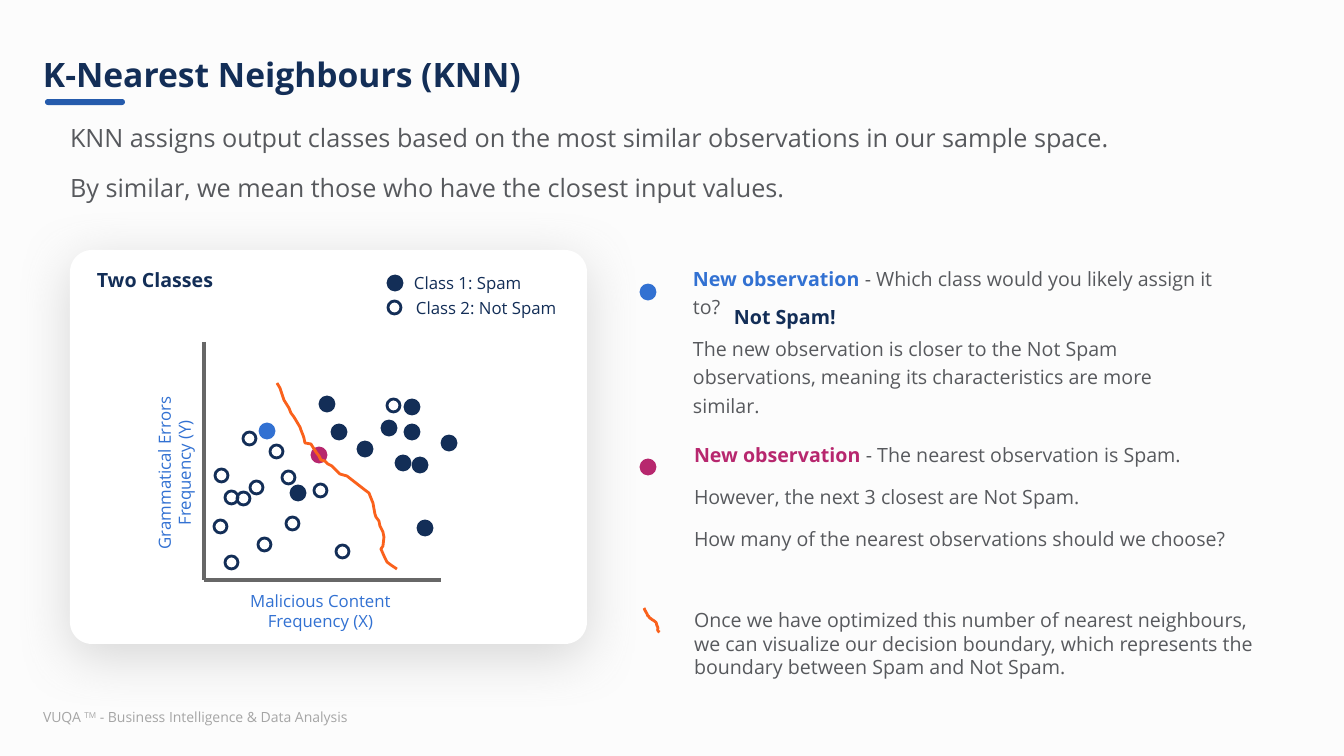
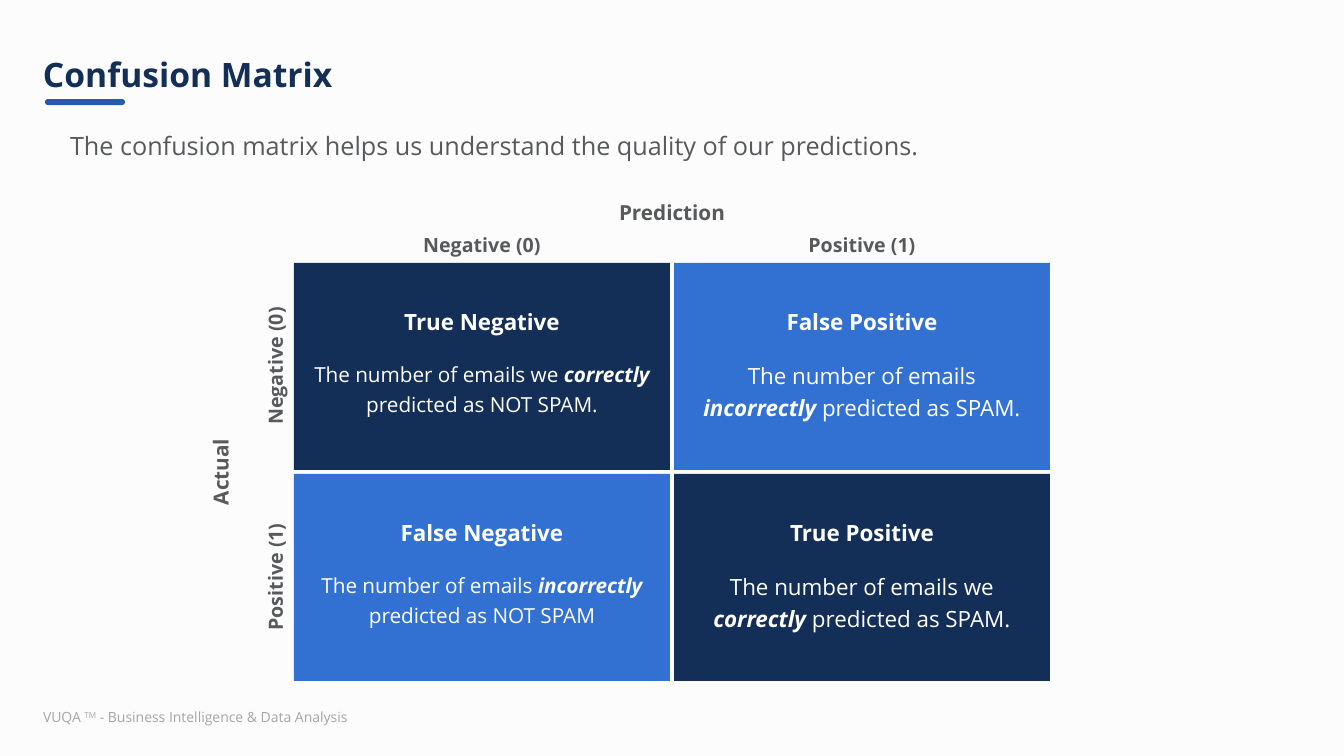
from lxml.etree import SubElement
from pptx import Presentation
from pptx.dml.color import RGBColor
from pptx.enum.shapes import MSO_CONNECTOR, MSO_SHAPE
from pptx.enum.text import MSO_ANCHOR, PP_ALIGN
from pptx.oxml.ns import qn
from pptx.util import Pt

PX = 914400 / 100.8
FONT = "Open Sans"

NAVY = RGBColor(0x13, 0x2E, 0x57)
BLUE = RGBColor(0x32, 0x71, 0xD2)
ACCENT = RGBColor(0x25, 0x5B, 0xAC)
MAGENTA = RGBColor(0xB7, 0x27, 0x6E)
ORANGE = RGBColor(0xFA, 0x61, 0x1C)
TEXT_GREY = RGBColor(0x57, 0x59, 0x5D)
AXIS_GREY = RGBColor(0x67, 0x67, 0x67)
FOOTER_GREY = RGBColor(0xA5, 0xA5, 0xA5)
PAPER = RGBColor(0xFC, 0xFC, 0xFC)
WHITE = RGBColor(0xFF, 0xFF, 0xFF)

DEFAULT_INSET = (10, 5, 10, 5)
NO_INSET = (0, 0, 0, 0)
INDENTED = (25, 0, 0, 0)
LEFT, CENTER = PP_ALIGN.LEFT, PP_ALIGN.CENTER

SPAM_DOTS = [
    (418, 521), (405, 425), (396, 456), (442, 436), (413, 458), (332, 425),
    (405, 400), (382, 421), (358, 442), (320, 397), (291, 486),
]
NOT_SPAM_DOTS = [
    (258, 538), (215, 469), (237, 492), (314, 484), (286, 517), (243, 432), (214, 520),
    (336, 545), (270, 445), (250, 481), (225, 491), (225, 556), (387, 399), (282, 471),
]
BOUNDARY = [
    (0, 0), (3, 5), (7, 17), (12, 25), (14, 30), (17, 34), (23, 44), (24, 47), (26, 52),
    (27, 55), (28, 60), (34, 61), (39, 69), (42, 73), (44, 77), (48, 78), (51, 81), (55, 83),
    (60, 88), (63, 91), (70, 93), (88, 107), (92, 110), (96, 120), (98, 131), (99, 134),
    (102, 138), (103, 143), (106, 149), (107, 154), (106, 163), (104, 166), (108, 175),
    (110, 179), (114, 182), (120, 186),
]


def px(*lengths):
    return [round(length * PX) for length in lengths]


def set_attributes(target, values):
    for name, value in values.items():
        setattr(target, name, value)


def add_text(page, frame, paragraphs, size, color=TEXT_GREY, bold=False, align=LEFT,
             spacing=1.0, inset=DEFAULT_INSET, rotation=0, anchor=MSO_ANCHOR.TOP):
    """Each paragraph is a string or a list of (text, format) spans.

    A format may hold font attributes, a color and a baseline."""
    box = page.shapes.add_textbox(*px(*frame))
    box.rotation = rotation
    margins = ("margin_left", "margin_top", "margin_right", "margin_bottom")
    set_attributes(box.text_frame, {
        "word_wrap": True, "vertical_anchor": anchor, **dict(zip(margins, px(*inset)))})
    for index, spans in enumerate(paragraphs):
        para = box.text_frame.add_paragraph() if index else box.text_frame.paragraphs[0]
        set_attributes(para, {"alignment": align, "line_spacing": spacing})
        if index:
            para.space_before = Pt(10)
        for text, changes in [(spans, {})] if isinstance(spans, str) else spans:
            span = para.add_run()
            span.text = text
            look = {"name": FONT, "size": Pt(size), "bold": bold, **changes}
            span.font.color.rgb = look.pop("color", color)
            baseline = look.pop("baseline", None)
            set_attributes(span.font, look)
            if baseline:
                span._r.get_or_add_rPr().set("baseline", str(baseline))
    return box


def add_shape(page, kind, frame, fill=None, outline=None):
    shape = page.shapes.add_shape(kind, *px(*frame))
    shape.shadow.inherit = False
    if fill is None:
        shape.fill.background()
    else:
        shape.fill.solid()
        shape.fill.fore_color.rgb = fill
    if outline is None:
        shape.line.fill.background()
    else:
        shape.line.color.rgb = outline
        shape.line.width = Pt(2)
    return shape


def add_dot(page, left, top, color):
    add_shape(page, MSO_SHAPE.OVAL, (left, top, 14, 14), color, color)


def add_ring(page, left, top):
    add_shape(page, MSO_SHAPE.OVAL, (left, top, 13, 13), outline=NAVY)


def add_axis(page, start, end):
    axis = page.shapes.add_connector(MSO_CONNECTOR.STRAIGHT, *px(*start, *end))
    axis.line.color.rgb = AXIS_GREY
    axis.line.width = Pt(2.25)
    SubElement(axis._element.spPr, qn("a:effectLst"))


def add_boundary(page, left, top, size=1.0):
    builder = page.shapes.build_freeform(*BOUNDARY[0], scale=PX * size)
    builder.add_line_segments(BOUNDARY[1:], close=False)
    curve = builder.convert_to_shape(*px(left, top))
    curve.shadow.inherit = False
    curve.fill.background()
    curve.line.color.rgb = ORANGE
    curve.line.width = Pt(2)


def add_card(page, frame):
    """White rounded panel with a soft shadow below it."""
    card = add_shape(page, MSO_SHAPE.ROUNDED_RECTANGLE, frame, WHITE)
    card.adjustments[0] = 0.056
    effects = card._element.spPr.find(qn("a:effectLst"))
    shadow = SubElement(effects, qn("a:outerShdw"), {
        "blurRad": str(Pt(39)), "dist": str(Pt(9)), "dir": "5400000",
        "algn": "t", "rotWithShape": "0"})
    shade = SubElement(shadow, qn("a:srgbClr"), val="808080")
    SubElement(shade, qn("a:alpha"), val="29000")


def add_page(deck, title):
    """Blank page with the shared background, title, underline and footer."""
    page = deck.slides.add_slide(deck.slide_layouts[6])
    page.background.fill.solid()
    page.background.fill.fore_color.rgb = PAPER
    add_text(page, (33, 704, 348, 27), [[
        ("VUQA ", {}), ("TM", {"baseline": 30000}),
        (" - Business Intelligence & Data Analysis", {})]], 10, FOOTER_GREY)
    underline = add_shape(page, MSO_SHAPE.ROUNDED_RECTANGLE, (45, 99, 80, 6), ACCENT)
    underline.adjustments[0] = 0.5
    add_text(page, (33, 38, 1275, 78), [title], 24, NAVY, bold=True, spacing=0.9,
             anchor=MSO_ANCHOR.MIDDLE)
    return page


def add_lead(page, top, height, paragraphs):
    add_text(page, (45, top, 1254, height), paragraphs, 18, spacing=1.2, inset=INDENTED)


def add_scatter(page):
    add_card(page, (70, 250, 517, 394))
    add_text(page, (52, 263, 206, 34), ["Two Classes"], 14, NAVY, bold=True, align=CENTER)
    add_text(page, (404, 268, 155, 30), ["Class 1: Spam"], 12, NAVY)
    add_text(page, (406, 293, 204, 30), ["Class 2: Not Spam"], 12, NAVY)
    add_dot(page, 388, 276, NAVY)
    add_ring(page, 388, 301)

    origin = (204, 580)
    add_axis(page, (204, 342), origin)
    add_axis(page, origin, (441, 580))
    add_text(page, (219, 586, 203, 50), ["Malicious Content Frequency (X)"], 12, BLUE,
             align=CENTER)
    add_text(page, (84, 448, 180, 50), ["Grammatical Errors Frequency (Y)"], 12, BLUE,
             align=CENTER, rotation=270)

    for left, top in SPAM_DOTS:
        add_dot(page, left, top, NAVY)
    for left, top in NOT_SPAM_DOTS:
        add_ring(page, left, top)
    add_dot(page, 260, 424, BLUE)
    add_dot(page, 312, 448, MAGENTA)
    add_boundary(page, 277, 383)


def add_observation(page, color, dot_top, frame, paragraphs):
    """Coloured dot with its explanation; the first paragraph gets a bold lead-in."""
    add_dot(page, 641, dot_top, color)
    first = [("New observation", {"bold": True, "color": color}), (paragraphs[0], {})]
    add_text(page, frame, [first, *paragraphs[1:]], 14, spacing=1.2, inset=INDENTED)


def build_knn(deck):
    page = add_page(deck, "K-Nearest Neighbours (KNN)")
    add_lead(page, 116, 112, [
        "KNN assigns output classes based on the most similar observations in our sample space.",
        "By similar, we mean those who have the closest input values."])
    add_scatter(page)
    add_observation(page, BLUE, 285, (668, 262, 552, 152), [
        " - Which class would you likely assign it to?",
        "The new observation is closer to the Not Spam observations, "
        "meaning its characteristics are more similar."])
    add_text(page, (724, 300, 140, 34), ["Not Spam!"], 14, NAVY, bold=True)
    add_observation(page, MAGENTA, 460, (669, 438, 610, 90), [
        " - The nearest observation is Spam.",
        "However, the next 3 closest are Not Spam.",
        "How many of the nearest observations should we choose?"])
    add_boundary(page, 644, 608, size=0.13)
    add_text(page, (684, 603, 590, 82), [
        "Once we have optimized this number of nearest neighbours, we can visualize our "
        "decision boundary, which represents the boundary between Spam and Not Spam."], 14)


def add_matrix_label(page, center_x, top, text, size=14, rotation=0):
    add_text(page, (center_x - 100, top, 200, 40), [text], size, bold=True, align=CENTER,
             spacing=1.1 if size == 14 else 1.0, inset=NO_INSET, rotation=rotation)


def add_matrix_cell(page, left, top, width, height, fill, size, heading, before, stress, after):
    add_shape(page, MSO_SHAPE.RECTANGLE, (left, top, width, height), fill)
    shared = {"color": WHITE, "align": CENTER, "spacing": 1.2, "inset": NO_INSET}
    add_text(page, (left + 88, top + 40, 200, 50), [heading], 16, bold=True, **shared)
    description = [(before, {}), (stress, {"bold": True, "italic": True}), (after, {})]
    add_text(page, (left + 16, top + 94, 344, 80), [description], size, **shared)


def build_confusion_matrix(deck):
    page = add_page(deck, "Confusion Matrix")
    add_lead(page, 124, 58, [
        "The confusion matrix helps us understand the quality of our predictions."])

    left, top, width, height, gap = 294, 263, 376, 207, 4
    cells = [
        [("True Negative", "The number of emails we ", "correctly", " predicted as NOT SPAM."),
         ("False Positive", "The number of emails ", "incorrectly", " predicted as SPAM.")],
        [("False Negative", "The number of emails ", "incorrectly", " predicted as NOT SPAM"),
         ("True Positive", "The number of emails we ", "correctly", " predicted as SPAM.")],
    ]
    for row, row_cells in enumerate(cells):
        for column, texts in enumerate(row_cells):
            add_matrix_cell(page, left + column * (width + gap), top + row * (height + gap),
                            width, height, NAVY if row == column else BLUE,
                            (14.8, 16)[column], *texts)

    for index, label in enumerate(("Negative (0)", "Positive (1)")):
        add_matrix_label(page, left + width // 2 + index * (width + gap), 231, label)
        middle = top + height // 2 + index * (height + gap)
        add_matrix_label(page, 281, middle - 20, label, rotation=270)
    add_matrix_label(page, left + width + gap // 2, 200, "Prediction", 14.8)
    add_matrix_label(page, 228, top + height + gap // 2 - 20, "Actual", 14.8, rotation=270)


def main():
    deck = Presentation()
    deck.slide_width, deck.slide_height = px(1344, 756)
    build_knn(deck)
    build_confusion_matrix(deck)
    deck.save("out.pptx")


if __name__ == "__main__":
    main()
